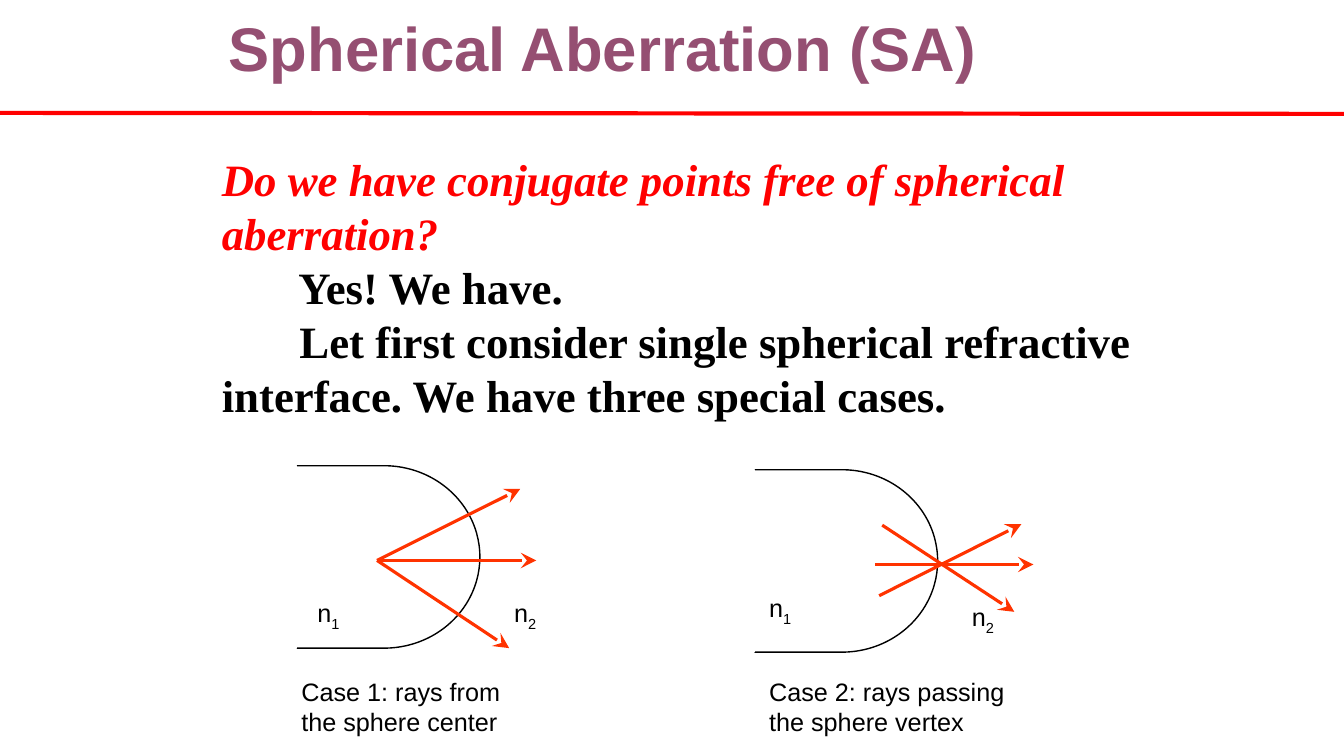
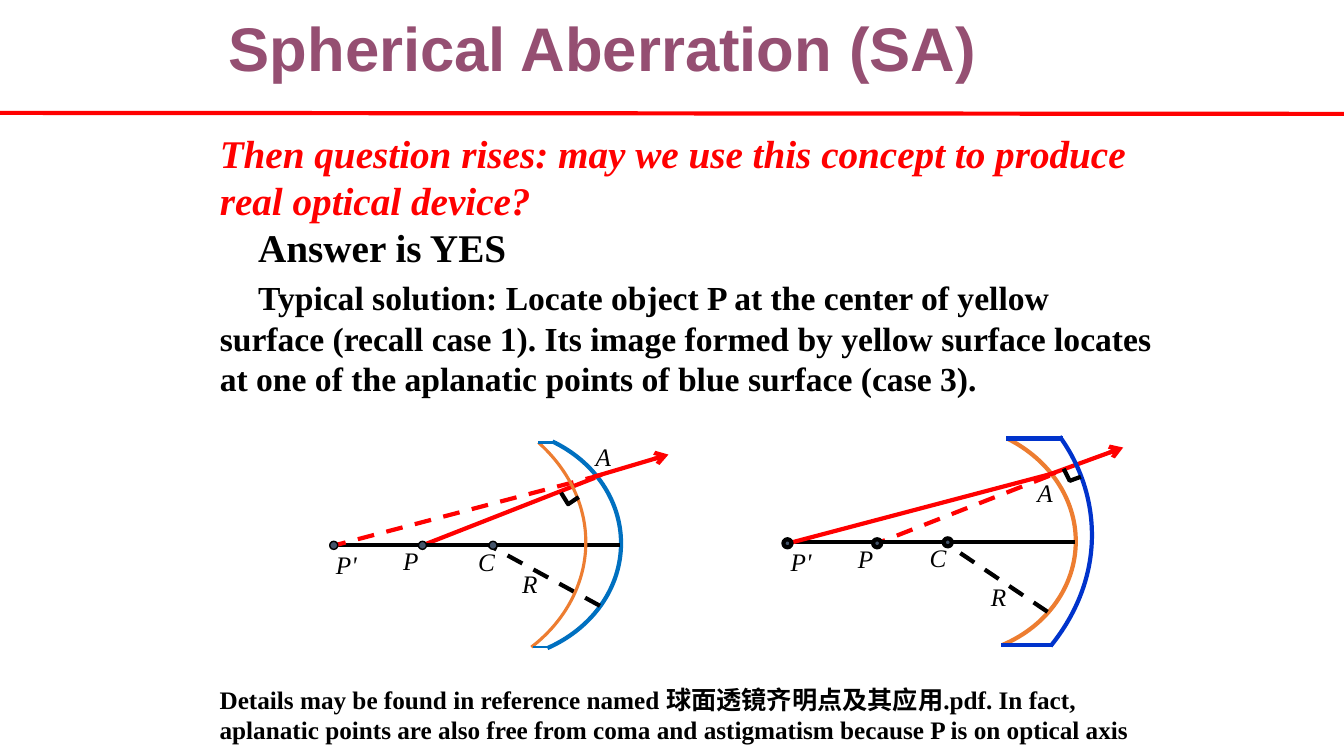
from lxml import etree
from pptx import Presentation
from pptx.dml.color import RGBColor
from pptx.enum.dml import MSO_LINE
from pptx.enum.shapes import MSO_CONNECTOR, MSO_SHAPE
from pptx.enum.text import MSO_ANCHOR, MSO_AUTO_SIZE, PP_ALIGN
from pptx.oxml.ns import qn
from pptx.util import Inches, Pt

RED = RGBColor(0xFF, 0, 0)
BLACK = RGBColor(0, 0, 0)
WHITE = RGBColor(0xFF, 0xFF, 0xFF)
PLUM = RGBColor(0x95, 0x4F, 0x72)
RAY = RGBColor(0xFF, 0x33, 0)
SKY = RGBColor(0, 0x70, 0xC0)
NAVY = RGBColor(0, 0x33, 0xCC)
GOLD = RGBColor(0xED, 0x7D, 0x31)
SLATE = RGBColor(0x44, 0x54, 0x6A)
SANS, SERIF = "Arial", "Times New Roman"
LEFT, MID = PP_ALIGN.LEFT, PP_ALIGN.CENTER
DASH, SOLID = MSO_LINE.DASH, MSO_LINE.SOLID
TOP, FIXED = MSO_ANCHOR.TOP, MSO_AUTO_SIZE.NONE
STRAIGHT = MSO_CONNECTOR.STRAIGHT
DELAY, RECT, OVAL = MSO_SHAPE.FLOWCHART_DELAY, MSO_SHAPE.RECTANGLE, MSO_SHAPE.OVAL


def write(shape, text, size=18, face=SANS, color=BLACK, bold=False, italic=False,
          align=LEFT, wrap=True, indent=0, before=0, spacing=1.0, sub=""):
    """Add one paragraph per line of text; sub is a subscript at its end."""
    frame = shape.text_frame
    frame.word_wrap, frame.auto_size, frame.vertical_anchor = wrap, FIXED, TOP
    for line in text.split("\n"):
        para = frame.add_paragraph() if frame.text else frame.paragraphs[0]
        props = para._p.get_or_add_pPr()
        props.set("marL", "0")
        props.set("indent", str(Inches(indent)))
        etree.SubElement(props, qn("a:buNone"))
        para.alignment, para.line_spacing = align, spacing
        para.space_before = Pt(before)
        for part in filter(None, (line, sub)):
            run = para.add_run()
            run.text = part
            font = run.font
            font.size, font.name = Pt(size), face
            font.bold, font.italic = bold, italic
            font.color.rgb = color
        if sub:
            run._r.get_or_add_rPr().set("baseline", "-25000")


def draw(slide, ends, color, width=3, dash=SOLID, tip=None, scale="med"):
    """Draw a straight line between (x1, y1, x2, y2), with an optional arrow tip."""
    line = slide.shapes.add_connector(STRAIGHT, *map(Inches, ends))
    line.line.color.rgb, line.line.width = color, Pt(width)
    line.line.dash_style = dash
    if tip:
        etree.SubElement(line.line._get_or_add_ln(), qn("a:tailEnd"),
                         type=tip, w=scale, len=scale)
    etree.SubElement(line._element.spPr, qn("a:effectLst"))


deck = Presentation()
deck.slide_width, deck.slide_height = Inches(13.33), Inches(7.5)

# Title, rule and body text of each slide
pages = [
    ((2.1, 1.46), 32, [
        ("Do we have conjugate points free of spherical aberration?",
         dict(color=RED, italic=True)),
        ("Yes! We have.", dict(indent=0.76)),
        ("Let first consider single spherical refractive interface. "
         "We have three special cases.", dict(indent=0.77)),
    ]),
    ((2.08, 1.23), 28, [
        ("Then question rises: may we use this concept to produce "
         "real optical device?", dict(color=RED, italic=True)),
        ("Answer is YES", dict(indent=0.38)),
        ("Typical solution: Locate object P at the center of yellow surface "
         "(recall case 1). Its image formed by yellow surface locates at one of "
         "the aplanatic points of blue surface (case 3).",
         dict(indent=0.38, size=24, before=5)),
    ]),
]
for spot, size, paras in pages:
    slide = deck.slides.add_slide(deck.slide_layouts[1])
    title, body = slide.placeholders
    title.left, title.top, title.width, title.height = map(Inches, (2.17, 0.13, 8.08, 1.25))
    write(title, "Spherical Aberration (SA)", size=44, color=PLUM, bold=True, spacing=0.9)
    body.left, body.top, body.width, body.height = map(Inches, (*spot, 9.45, 2.79))
    for text, form in paras:
        write(body, text, **{"size": size, "face": SERIF, "bold": True, **form})
    draw(slide, (0, 1.12, 13.33, 1.13), RED)
first, second = deck.slides

# Rays through a spherical interface
cases = [
    (2.86, 4.62, [(3.05, 5.88, "1"), (5, 5.88, "2")],
     [(3.74, 5.56, 5.32, 5.56), (3.74, 5.56, 5.05, 6.43), (3.74, 5.56, 5.16, 4.85)],
     2.89, "Case 1: rays from\nthe sphere center"),
    (7.4, 4.66, [(7.53, 5.83, "1"), (9.54, 5.92, "2")],
     [(8.68, 5.6, 10.25, 5.6), (8.75, 5.21, 10.06, 6.07), (8.72, 5.91, 10.13, 5.2)],
     7.53, "Case 2: rays passing the sphere vertex"),
]
for x, y, marks, rays, edge, text in cases:
    for kind, left, wide, color in ((DELAY, x, 1.9, BLACK), (RECT, x - 1.01, 1.09, WHITE)):
        shape = first.shapes.add_shape(kind, *map(Inches, (left, y, wide, 1.81)))
        shape.shadow.inherit = False
        shape.fill.solid()
        shape.fill.fore_color.rgb = WHITE
        shape.line.color.rgb, shape.line.width = color, Pt(1)
    for left, top, sub in marks:
        box = first.shapes.add_textbox(*map(Inches, (left, top, 0.49, 0.4)))
        write(box, "n", sub=sub)
    for ray in rays:
        draw(first, ray, RAY, 2.25, tip="stealth", scale="lg")
    box = first.shapes.add_textbox(*map(Inches, (edge, 6.66, 2.59, 0.71)))
    write(box, text)

# Aplanatic lenses; a surface is two joined Bezier curves and the hub of its sector
lenses = [
    dict(
        back=([(5.48, 4.38), (5.9, 4.58), (6.16, 4.97), (6.16, 5.39),
               (6.16, 5.83), (5.88, 6.23), (5.43, 6.43), (4.86, 5.39)], SKY, 3),
        front=([(5.34, 4.39), (5.64, 4.66), (5.81, 5.01), (5.81, 5.38),
                (5.81, 5.78), (5.61, 6.16), (5.27, 6.42), (4.19, 5.38)], GOLD, 2.25),
        lines=[((5.9, 4.74, 4.19, 5.41), RED, SOLID, None),
               ((6.15, 5.41, 3.32, 5.41), BLACK, SOLID, None),
               ((5.95, 6.01, 4.85, 5.41), BLACK, DASH, None),
               ((5.97, 4.71, 3.32, 5.41), RED, DASH, None),
               ((5.89, 4.73, 6.63, 4.51), RED, SOLID, "arrow")],
        dots=[(4.15, 5.37), (4.85, 5.37), (3.27, 5.37)], ring=1,
        rims=[(5.34, 4.39, 5.52, 4.39), (5.29, 6.42, 5.47, 6.42)], rim=(SKY, 1.5),
        corner=[(5.57, 4.88), (5.63, 5), (5.74, 4.94)], turn=-5.3,
        marks=[("P'", 3.23, 5.4), ("A", 5.81, 4.33), ("P", 3.9, 5.36),
               ("C", 4.64, 5.37), ("R", 5.08, 5.59)]),
    dict(
        back=([(9.99, 4.35), (10.41, 4.56), (10.67, 4.95), (10.67, 5.37),
               (10.67, 5.81), (10.39, 6.21), (9.94, 6.4), (9.37, 5.37)], GOLD, 3),
        front=([(10.51, 4.33), (10.72, 4.62), (10.83, 4.96), (10.83, 5.31),
                (10.83, 5.71), (10.68, 6.09), (10.42, 6.41), (8.69, 5.31)], NAVY, 3),
        lines=[((10.41, 4.72, 8.7, 5.39), RED, DASH, None),
               ((10.66, 5.38, 7.83, 5.38), BLACK, SOLID, None),
               ((10.39, 6.07, 9.38, 5.39), BLACK, DASH, None),
               ((10.47, 4.69, 7.82, 5.39), RED, SOLID, None),
               ((10.4, 4.71, 11.14, 4.44), RED, SOLID, "arrow")],
        dots=[(8.66, 5.35), (9.36, 5.34), (7.77, 5.35)], ring=3,
        rims=[(9.98, 4.35, 10.54, 4.35), (9.93, 6.4, 10.43, 6.4)], rim=(NAVY, 3),
        corner=[(10.55, 4.65), (10.61, 4.77), (10.72, 4.73)], turn=0,
        marks=[("P'", 7.74, 5.37), ("A", 10.19, 4.69), ("P", 8.41, 5.34),
               ("C", 9.12, 5.33), ("R", 9.73, 5.72)]),
]
for lens in lenses:
    for part in ("back", "front", "corner"):
        points, color, width = (lens[part], BLACK, 3) if part == "corner" else lens[part]
        spots = [(Inches(x), Inches(y)) for x, y in points]
        pen = second.shapes.build_freeform(*spots[0])
        pen.add_line_segments(spots[1:], close=False)
        shape = pen.convert_to_shape()
        shape.shadow.inherit = False
        shape.fill.background()
        shape.line.color.rgb, shape.line.width = color, Pt(width)
        if part == "corner":
            shape.rotation = lens["turn"]
            continue

        # Bend the segments into two curves; the hub only sets the frame
        trace = next(shape._element.iter(qn("a:path")))
        steps = trace.findall(qn("a:lnTo"))
        for start in (0, 3):
            curve = etree.SubElement(trace, qn("a:cubicBezTo"))
            for step in steps[start:start + 3]:
                curve.append(step[0])
        for step in steps:
            trace.remove(step)
        if part == "front":
            continue

        # Rays and points lie between the back and front surfaces
        for ends, color, dash, tip in lens["lines"]:
            draw(second, ends, color, dash=dash, tip=tip)
        for x, y in lens["dots"]:
            dot = second.shapes.add_shape(OVAL, *map(Inches, (x, y, 0.08, 0.08)))
            dot.shadow.inherit = False
            dot.fill.solid()
            dot.fill.fore_color.rgb = SLATE
            dot.line.color.rgb, dot.line.width = BLACK, Pt(lens["ring"])

    for ends in lens["rims"]:
        draw(second, ends, *lens["rim"])
    for text, x, y in lens["marks"]:
        wide = {"P'": 0.41, "C": 0.37}.get(text, 0.35)
        box = second.shapes.add_textbox(*map(Inches, (x, y, wide, 0.4)))
        write(box, text, face=SERIF, italic=True, align=MID, wrap=False)

note = second.shapes.add_textbox(*map(Inches, (2.08, 6.74, 9.32, 0.71)))
write(note, "Details may be found in reference named 球面透镜齐明点及其应用.pdf. In fact, "
      "aplanatic points are also free from coma and astigmatism because P is on "
      "optical axis", face=SERIF, bold=True)

deck.save("out.pptx")
